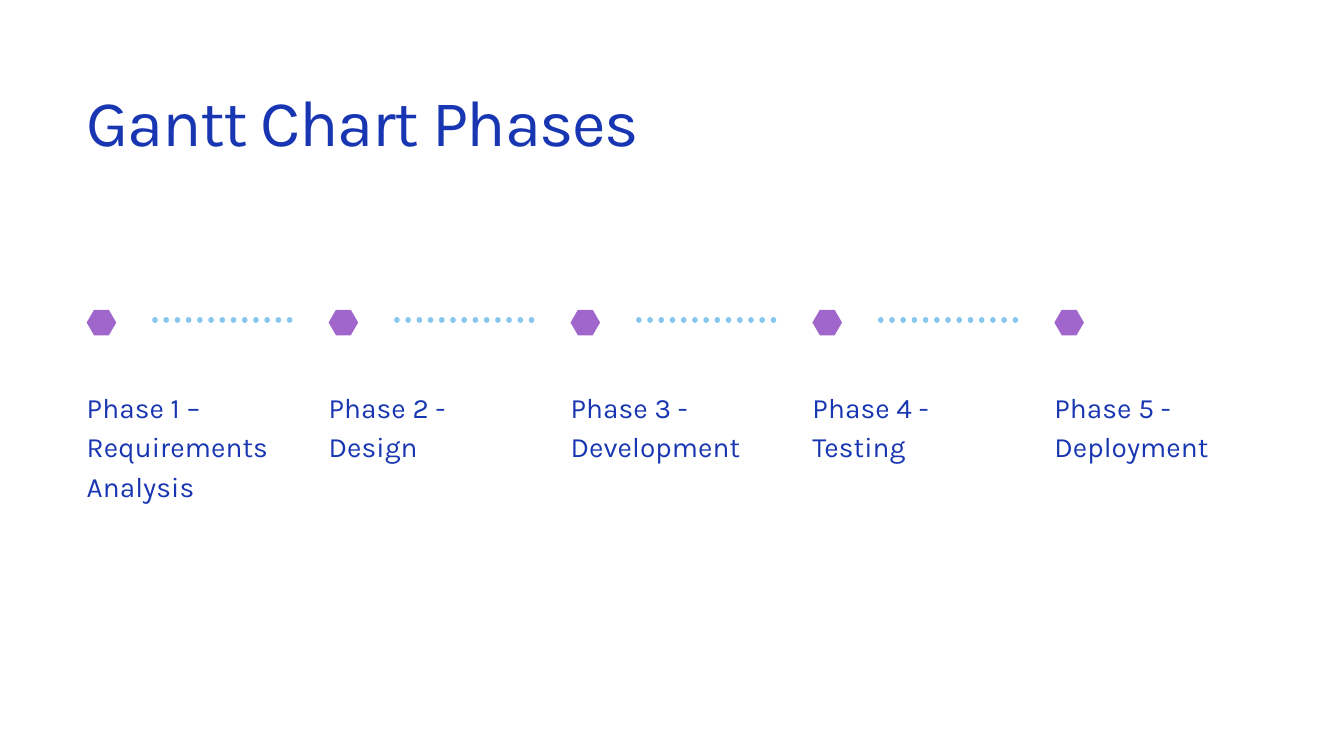
import dataclasses

import pptx
import pptx.dml.color
import pptx.enum.dml
import pptx.enum.shapes
import pptx.enum.text
import pptx.oxml.ns
import pptx.util
from lxml import etree


@dataclasses.dataclass(frozen=True)
class Theme:
    font: str = "Karla"
    text: str = "1836B2"
    marker: str = "A066CB"
    link: str = "86C7ED"
    background: str = "FFFFFF"
    title_size: float = 70
    title_leading: float = 98
    title_spacing: float = -1.4
    body_size: float = 30
    body_leading: float = 42
    body_spacing: float = 0.1
    link_width: float = 6


@dataclasses.dataclass(frozen=True)
class Grid:
    """Column grid, in inches."""
    left: float = 1.29
    width: float = 3.02
    pitch: float = 3.6

    def x(self, column):
        return self.left + column * self.pitch


def rgb(value):
    return pptx.dml.color.RGBColor.from_string(value)


def inches(*values):
    return [pptx.util.Inches(v) for v in values]


class Deck:
    def __init__(self, theme, grid):
        self.theme, self.grid = theme, grid
        self.prs = pptx.Presentation()
        self.prs.slide_width, self.prs.slide_height = inches(20, 11.25)
        self.s = None

    def add_slide(self):
        self.s = self.prs.slides.add_slide(self.prs.slide_layouts[6])
        fill = self.s.background.fill
        fill.solid()
        fill.fore_color.rgb = rgb(self.theme.background)

    def text(self, text, column, y, w, h, size, leading, spacing):
        sp = self.s.shapes.add_textbox(*inches(self.grid.x(column), y, w, h))
        tf = sp.text_frame
        tf.margin_left = tf.margin_top = tf.margin_right = tf.margin_bottom = 0
        tf.word_wrap = True
        tf.auto_size = pptx.enum.text.MSO_AUTO_SIZE.SHAPE_TO_FIT_TEXT
        tf.text = text
        p = tf.paragraphs[0]
        p.line_spacing = pptx.util.Pt(leading)
        for r in p.runs:
            r.font.name = self.theme.font
            r.font.size = pptx.util.Pt(size)
            r.font.color.rgb = rgb(self.theme.text)
            r.font._element.set("spc", str(round(spacing * 100)))

    def title(self, text):
        t = self.theme
        self.text(text, 0, 1.02, 12.19, 1.29,
                  t.title_size, t.title_leading, t.title_spacing)

    def label(self, text, column, lines):
        t = self.theme
        self.text(text, column, 5.73, self.grid.width, lines * t.body_leading / 72,
                  t.body_size, t.body_leading, t.body_spacing)

    def marker(self, column):
        sp = self.s.shapes.add_shape(pptx.enum.shapes.MSO_SHAPE.HEXAGON,
                                     *inches(self.grid.x(column), 4.61, 0.44, 0.38))
        sp.adjustments[0] = 0.29
        sp.shadow.inherit = False
        sp.fill.solid()
        sp.fill.fore_color.rgb = rgb(self.theme.marker)
        sp.line.fill.background()

    def link(self, column, y=4.76, length=2.01):
        end = self.grid.x(column) + self.grid.width
        cx = self.s.shapes.add_connector(pptx.enum.shapes.MSO_CONNECTOR.STRAIGHT,
                                         *inches(end, y, end - length, y))
        cx.line.color.rgb = rgb(self.theme.link)
        cx.line.width = pptx.util.Pt(self.theme.link_width)
        cx.line.dash_style = pptx.enum.dml.MSO_LINE.ROUND_DOT
        # Round caps turn the dashes into dots
        sp_pr = cx._element.spPr
        sp_pr.find(pptx.oxml.ns.qn("a:ln")).set("cap", "rnd")
        etree.SubElement(sp_pr, pptx.oxml.ns.qn("a:effectLst"))


def main():
    phases = [("Phase 1 – Requirements Analysis", 3), ("Phase 2 - Design", 2),
              ("Phase 3 - Development", 2), ("Phase 4 - Testing", 2),
              ("Phase 5 - Deployment", 2)]
    deck = Deck(Theme(), Grid())
    deck.add_slide()

    # Heading
    deck.title("Gantt Chart Phases")

    # Timeline: a marker and label per phase, dotted links between them
    for column, (name, lines) in enumerate(phases):
        deck.label(name, column, lines)
        deck.marker(column)
        if column < len(phases) - 1:
            deck.link(column)

    deck.prs.save("out.pptx")


if __name__ == "__main__":
    main()
